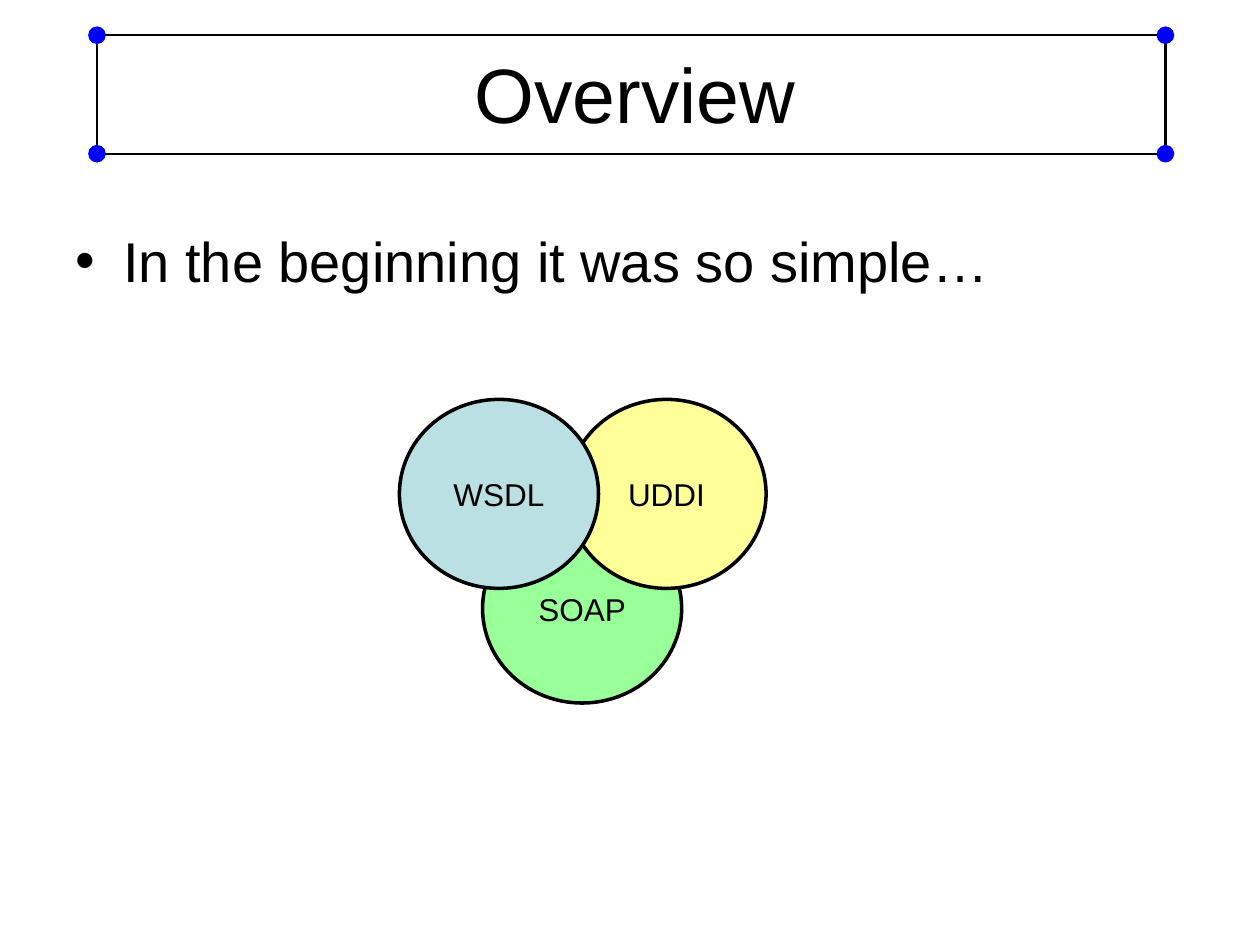
from itertools import product

from lxml import etree
from pptx import Presentation
from pptx.dml.color import RGBColor
from pptx.enum.shapes import MSO_SHAPE
from pptx.enum.text import MSO_ANCHOR, MSO_AUTO_SIZE, PP_ALIGN
from pptx.oxml.ns import qn
from pptx.util import Inches, Pt

RECTANGLE, OVAL = MSO_SHAPE.RECTANGLE, MSO_SHAPE.OVAL
TOP, MIDDLE = MSO_ANCHOR.TOP, MSO_ANCHOR.MIDDLE
LEFT, CENTER = PP_ALIGN.LEFT, PP_ALIGN.CENTER
FIT_SHAPE = MSO_AUTO_SIZE.SHAPE_TO_FIT_TEXT

BLACK = RGBColor(0x00, 0x00, 0x00)
BLUE = RGBColor(0x00, 0x00, 0xFF)
GREEN = RGBColor(0x99, 0xFF, 0x99)
YELLOW = RGBColor(0xFF, 0xFF, 0x99)
TEAL = RGBColor(0xBB, 0xE0, 0xE3)

FRAME_LEFT, FRAME_TOP, FRAME_WIDTH, FRAME_HEIGHT = 0.77, 0.28, 8.48, 0.94
DOT_SIZE = 0.14
CIRCLE_WIDTH, CIRCLE_HEIGHT = 1.58, 1.5
LABEL_WIDTH, LABEL_HEIGHT = 1, 0.4
CIRCLES = [
    ("SOAP", 3.83, 4.08, GREEN),
    ("UDDI", 4.5, 3.17, YELLOW),
    ("WSDL", 3.17, 3.17, TEAL),
]


class SlideBuilder:
    """Draws styled elements on one slide."""

    font_name = "Arial"
    text_color = BLACK

    def __init__(self, slide):
        self.slide = slide

    def outline(self, parent, kind, left, top, width, height, fill=None, line_width=None):
        figure = parent.shapes.add_shape(
            kind, Inches(left), Inches(top), Inches(width), Inches(height))
        figure.shadow.inherit = False
        if fill is None:
            figure.fill.background()
        else:
            figure.fill.solid()
            figure.fill.fore_color.rgb = fill
        if line_width is None:
            figure.line.fill.background()
        else:
            figure.line.color.rgb = BLACK
            figure.line.width = Pt(line_width)

    def text(self, parent, words, left, top, width, height, size,
             align=LEFT, anchor=TOP, wrap=True, bullet_indent=None):
        box = parent.shapes.add_textbox(
            Inches(left), Inches(top), Inches(width), Inches(height))
        frame = box.text_frame
        frame.word_wrap = wrap
        frame.vertical_anchor = anchor
        if not wrap:
            frame.auto_size = FIT_SHAPE
        paragraph = frame.paragraphs[0]
        paragraph.text = words
        paragraph.alignment = align
        if bullet_indent is not None:
            self.bullet(paragraph, bullet_indent)
        paragraph.font.name = self.font_name
        paragraph.font.size = Pt(size)
        paragraph.font.color.rgb = self.text_color

    def bullet(self, paragraph, indent):
        properties = paragraph._p.get_or_add_pPr()
        properties.set("marL", str(Inches(indent)))
        properties.set("indent", str(-Inches(indent)))
        etree.SubElement(properties, qn("a:buFont"), typeface=self.font_name)
        etree.SubElement(properties, qn("a:buChar"), char="•")

    def title_frame(self, left, top, width, height):
        self.outline(self.slide, RECTANGLE, left, top, width, height, line_width=1.25)
        for x, y in product((left, left + width), (top, top + height)):
            self.outline(self.slide, OVAL, x - DOT_SIZE / 2, y - DOT_SIZE / 2,
                         DOT_SIZE, DOT_SIZE, fill=BLUE)

    def labelled_circle(self, label, left, top, fill):
        group = self.slide.shapes.add_group_shape()
        self.outline(group, OVAL, left, top, CIRCLE_WIDTH, CIRCLE_HEIGHT, fill, 2)
        self.text(group, label, left + (CIRCLE_WIDTH - LABEL_WIDTH) / 2,
                  top + (CIRCLE_HEIGHT - LABEL_HEIGHT) / 2,
                  LABEL_WIDTH, LABEL_HEIGHT, 18, CENTER, wrap=False)


def main():
    presentation = Presentation()
    presentation.slide_width = Inches(10)
    presentation.slide_height = Inches(7.5)
    slide = presentation.slides.add_slide(presentation.slide_layouts[6])
    builder = SlideBuilder(slide)

    builder.title_frame(FRAME_LEFT, FRAME_TOP, FRAME_WIDTH, FRAME_HEIGHT)
    builder.text(slide, "Overview", 0.83, 0.3, 8.42, 0.87, 44, CENTER, MIDDLE)
    builder.text(slide, "In the beginning it was so simple…",
                 0.5, 1.75, 9, 4.95, 32, bullet_indent=0.38)
    for circle in CIRCLES:
        builder.labelled_circle(*circle)

    presentation.save("out.pptx")


if __name__ == "__main__":
    main()
